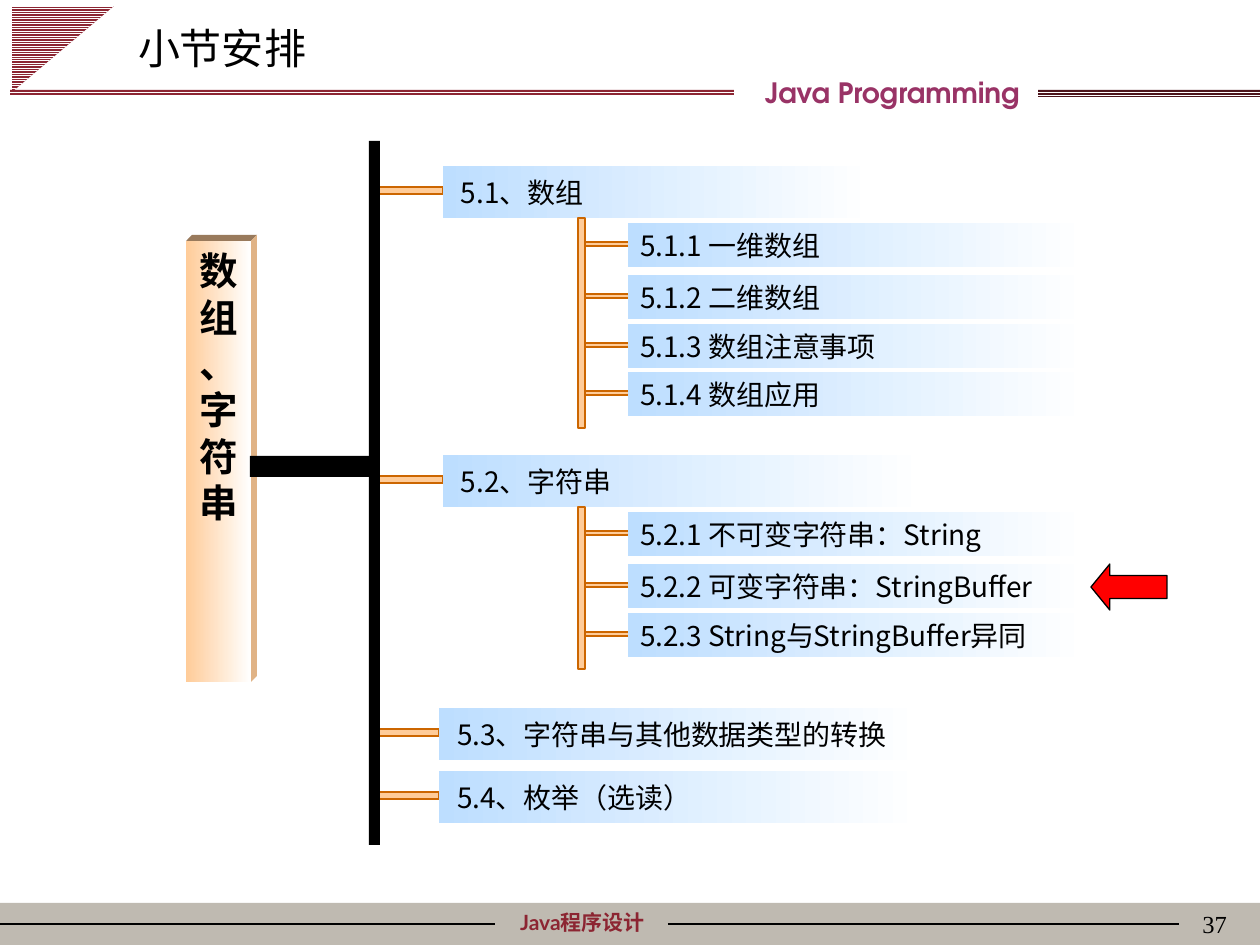
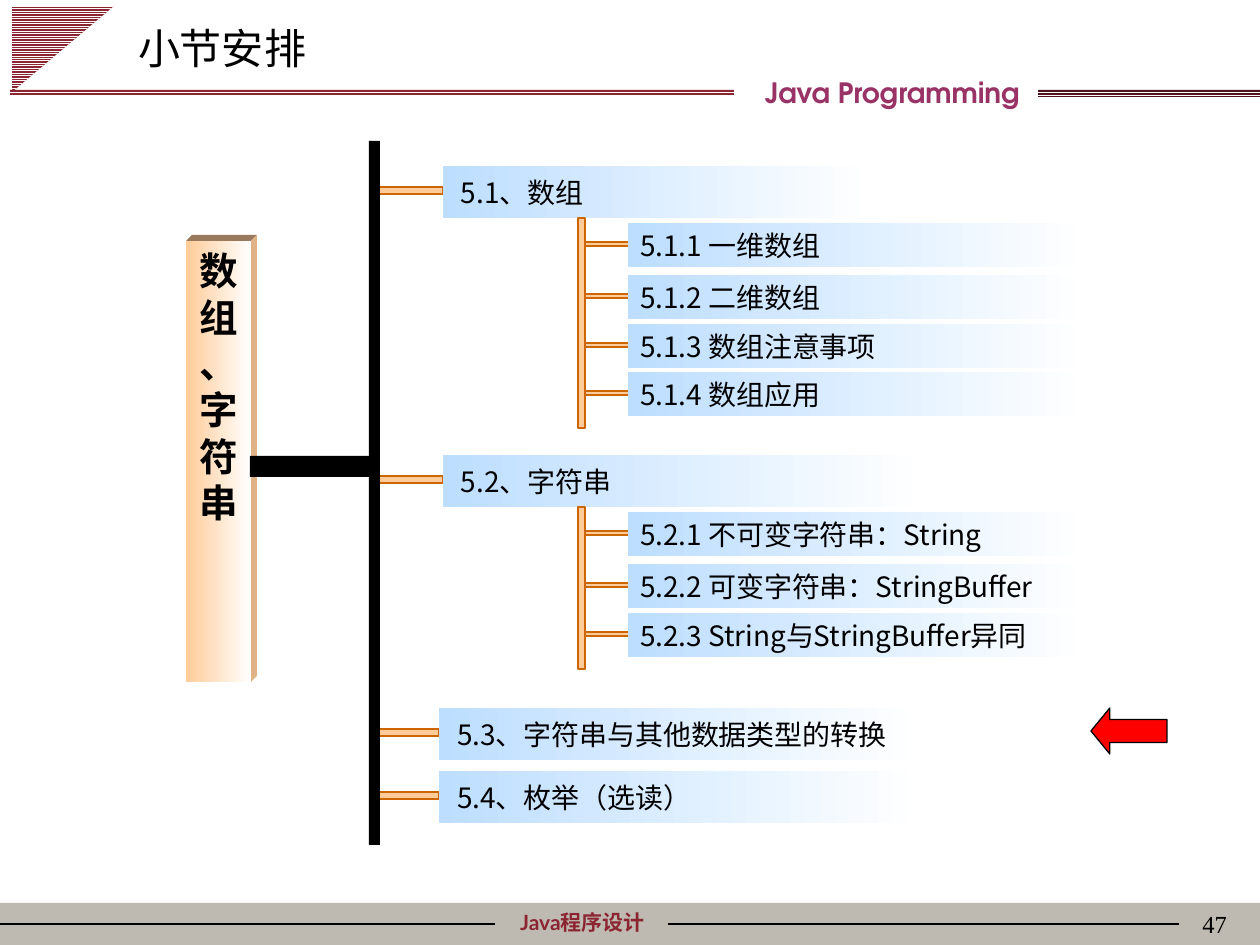
from lxml import etree
from pptx import Presentation
from pptx.dml.color import RGBColor
from pptx.enum.dml import MSO_PATTERN
from pptx.enum.shapes import MSO_CONNECTOR, MSO_SHAPE
from pptx.enum.text import MSO_ANCHOR, PP_ALIGN
from pptx.oxml.ns import qn
from pptx.util import Emu, Pt

RECTANGLE = MSO_SHAPE.RECTANGLE
RIGHT_TRIANGLE = MSO_SHAPE.RIGHT_TRIANGLE
LEFT_ARROW = MSO_SHAPE.LEFT_ARROW
STRAIGHT = MSO_CONNECTOR.STRAIGHT
LIGHT_HORIZONTAL = MSO_PATTERN.LIGHT_HORIZONTAL
LEFT, CENTER, RIGHT = PP_ALIGN.LEFT, PP_ALIGN.CENTER, PP_ALIGN.RIGHT
TOP, MIDDLE = MSO_ANCHOR.TOP, MSO_ANCHOR.MIDDLE

BLACK = RGBColor(0x00, 0x00, 0x00)
WHITE = RGBColor(0xFF, 0xFF, 0xFF)
STONE = RGBColor(0xBF, 0xBA, 0xB1)
WINE = RGBColor(0x8C, 0x25, 0x32)
DARK_WINE = RGBColor(0x4C, 0x14, 0x1B)
PLUM = RGBColor(0x99, 0x33, 0x66)
PEACH = RGBColor(0xFF, 0xCC, 0x99)
ORANGE = RGBColor(0xCC, 0x66, 0x00)
SKY = RGBColor(0xBD, 0xDE, 0xFF)
RED = RGBColor(0xFF, 0x00, 0x00)
PANEL_TOP = RGBColor(0x99, 0x7A, 0x5C)
PANEL_SIDE = RGBColor(0xE0, 0xB3, 0x86)

CHINESE_FONT = "Noto Sans CJK SC"
TITLE = "小节安排"
TOPIC = "数组、字符串"
HEADER = "Java Programming"
FOOTER = "Java程序设计"

SLIDES = [("37", "5.2.2 可变字符串：StringBuffer"),
          ("47", "5.3、字符串与其他数据类型的转换")]

CHAPTERS = [
    ("5.1、数组", 443, 166, 430,
     ["5.1.1 一维数组", "5.1.2 二维数组", "5.1.3 数组注意事项", "5.1.4 数组应用"]),
    ("5.2、字符串", 443, 455, 483,
     ["5.2.1 不可变字符串：String", "5.2.2 可变字符串：StringBuffer",
      "5.2.3 String与StringBuffer异同"]),
    ("5.3、字符串与其他数据类型的转换", 439, 708, 483, []),
    ("5.4、枚举（选读）", 439, 771, 483, []),
]
CHAPTER_HEIGHT = 52
SECTION_OFFSETS = (57, 109, 158, 206)
SECTION_LEFT, SECTION_WIDTH, SECTION_HEIGHT = 628, 460, 44
TRUNK_LEFT, TRUNK_WIDTH, TRUNK_TAIL = 578, 7, 56
STUB_WIDTH = 64
PANEL_LEFT, PANEL_Y, PANEL_WIDTH, PANEL_HEIGHT, PANEL_DEPTH = 186, 241, 65, 441, 6


def px(length):
    return Emu(round(length * 914400 / 126))


def place(shape, left, top, width, height):
    shape.left, shape.top = px(left), px(top)
    shape.width, shape.height = px(width), px(height)


def write(shape, text, size, font=CHINESE_FONT, color=BLACK, bold=False,
          align=LEFT, anchor=MIDDLE, inset=12, top_inset=0):
    frame = shape.text_frame
    frame.text = text
    frame.word_wrap = True
    frame.vertical_anchor = anchor
    frame.margin_left = frame.margin_right = px(inset)
    frame.margin_top, frame.margin_bottom = px(top_inset), 0
    paragraph = frame.paragraphs[0]
    paragraph.alignment = align
    run = paragraph.runs[0]
    run.font.size, run.font.bold, run.font.name = Pt(size), bold, font
    run.font.color.rgb = color
    east_asian = etree.SubElement(run._r.get_or_add_rPr(), qn("a:ea"))
    east_asian.set("typeface", CHINESE_FONT)
    return paragraph


def paint(shape, fill, line=None):
    shape.shadow.inherit = False
    shape.fill.solid()
    shape.fill.fore_color.rgb = fill
    if line is None:
        shape.line.fill.background()
    else:
        shape.line.color.rgb = line
        shape.line.width = Pt(0.75)


def add_block(slide, box, fill, line=None, kind=RECTANGLE):
    shape = slide.shapes.add_shape(kind, *map(px, box))
    paint(shape, fill, line)
    return shape


def add_faded(slide, box, color):
    shape = add_block(slide, box, color)
    shape.fill.gradient()
    shape.fill.gradient_angle = 0
    for stop, stop_color in zip(shape.fill.gradient_stops, (color, WHITE)):
        stop.color.rgb = stop_color
    return shape


def add_striped(slide, box, color, kind=RECTANGLE):
    shape = add_block(slide, box, color, kind=kind)
    shape.fill.patterned()
    shape.fill.pattern = LIGHT_HORIZONTAL
    shape.fill.fore_color.rgb = WHITE
    shape.fill.back_color.rgb = color
    return shape


def add_text(slide, box, text, size, **style):
    write(slide.shapes.add_textbox(*map(px, box)), text, size, **style)


def add_frame(slide, number):
    add_block(slide, (0, 903, 1260, 42), STONE)
    add_text(slide, (456, 903, 253, 38), FOOTER, 12, font="Lato",
             color=WINE, bold=True, align=CENTER)
    for start, end in ((0, 495), (668, 1179)):
        rule = slide.shapes.add_connector(STRAIGHT, px(start), px(924), px(end), px(924))
        rule.line.color.rgb = BLACK
        rule.line.width = Pt(0.75)
        etree.SubElement(rule._element.spPr, qn("a:effectLst"))
    add_striped(slide, (20, -2, 86, 102), WINE, RIGHT_TRIANGLE).rotation = 90
    add_striped(slide, (1038, 90, 222, 7), DARK_WINE)
    add_striped(slide, (10, 90, 724, 6), WINE)
    add_text(slide, (640, 69, 505, 47), HEADER, 16, font="TeX Gyre Adventor",
             color=PLUM, bold=True, align=CENTER)
    add_text(slide, (977, 903, 262, 42), number, 14, font="Times New Roman",
             align=RIGHT, anchor=TOP, top_inset=6)
    place(slide.shapes.title, 126, 16, 359, 63)
    write(slide.shapes.title, TITLE, 24)


def add_face(slide, points, color):
    corners = [(px(x), px(y)) for x, y in points]
    builder = slide.shapes.build_freeform(*corners[0])
    builder.add_line_segments(corners[1:], close=True)
    paint(builder.convert_to_shape(), color)


def add_topic_panel(slide):
    left, top = PANEL_LEFT, PANEL_Y
    right, bottom = left + PANEL_WIDTH, top + PANEL_HEIGHT
    depth = PANEL_DEPTH
    add_face(slide, [(left, top), (left + depth, top - depth),
                     (right + depth, top - depth), (right, top)], PANEL_TOP)
    add_face(slide, [(right, top), (right + depth, top - depth),
                     (right + depth, bottom - depth), (right, bottom)], PANEL_SIDE)
    panel = add_faded(slide, (left, top, PANEL_WIDTH, PANEL_HEIGHT), PEACH)
    paragraph = write(panel, TOPIC, 22, bold=True, align=CENTER, anchor=TOP, top_inset=6)
    paragraph.line_spacing = Pt(26.5)
    paragraph._p.get_or_add_pPr().set("hangingPunct", "0")


def add_outline(slide):
    tops = {}
    for chapter, left, top, width, sections in CHAPTERS:
        tops[chapter] = top
        add_block(slide, (left - STUB_WIDTH, top + 21, STUB_WIDTH, 7), PEACH, ORANGE)
        bar = add_faded(slide, (left, top, width, CHAPTER_HEIGHT), SKY)
        write(bar, chapter, 16, inset=18)
        for section, offset in zip(sections, SECTION_OFFSETS):
            section_top = tops[section] = top + offset
            add_block(slide, (TRUNK_LEFT + 3, section_top + 19, STUB_WIDTH, 4), PEACH, ORANGE)
            bar = add_faded(slide, (SECTION_LEFT, section_top, SECTION_WIDTH,
                                    SECTION_HEIGHT), SKY)
            write(bar, section, 16)
        if sections:
            trunk_top = top + CHAPTER_HEIGHT
            trunk_height = section_top + TRUNK_TAIL - trunk_top
            add_block(slide, (TRUNK_LEFT, trunk_top, TRUNK_WIDTH, trunk_height), PEACH, ORANGE)
    add_block(slide, (250, 456, 126, 21), BLACK)
    add_block(slide, (369, 141, 11, 704), BLACK)
    return tops


def main():
    presentation = Presentation()
    presentation.slide_width, presentation.slide_height = px(1260), px(945)
    for number, current in SLIDES:
        slide = presentation.slides.add_slide(presentation.slide_layouts[5])
        add_frame(slide, number)
        add_topic_panel(slide)
        tops = add_outline(slide)
        arrow = add_block(slide, (1091, tops[current], 76, 46), RED, BLACK, LEFT_ARROW)
        arrow.adjustments[0], arrow.adjustments[1] = 0.5, 0.41
    presentation.save("out.pptx")


if __name__ == "__main__":
    main()
